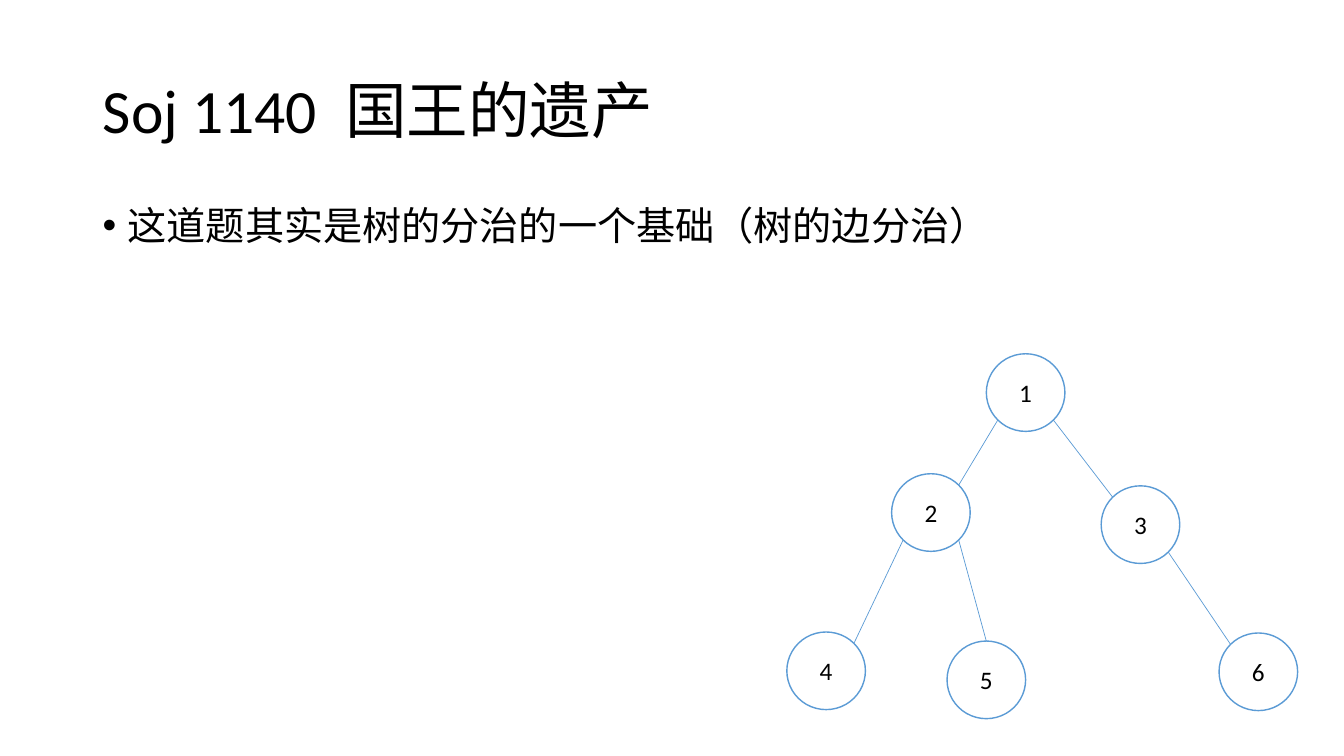
from math import cos, pi
from lxml.etree import SubElement
from pptx import Presentation
from pptx.dml.color import RGBColor
from pptx.enum.shapes import MSO_CONNECTOR, MSO_SHAPE
from pptx.enum.text import MSO_ANCHOR, PP_ALIGN
from pptx.oxml.ns import qn
from pptx.util import Pt

PROBLEM = "Soj 1140"
PROBLEM_NAME = "国王的遗产"
REMARK = "这道题其实是树的分治的一个基础（树的边分治）"
NODES = {
    "2": (885, 470),
    "4": (781, 627),
    "3": (1093, 482),
    "5": (940, 636),
    "6": (1210, 628),
    "1": (979, 351),
}
DIAGONAL = cos(pi / 4)
LOWER_LEFT = (-DIAGONAL, DIAGONAL)
LOWER_RIGHT = (DIAGONAL, DIAGONAL)
UPPER_LEFT = (-DIAGONAL, -DIAGONAL)
UPPER_RIGHT = (DIAGONAL, -DIAGONAL)
TOP = (0, -1)
EDGES = [
    ("1", LOWER_LEFT, "2", UPPER_RIGHT),
    ("1", LOWER_RIGHT, "3", UPPER_LEFT),
    ("2", LOWER_LEFT, "4", UPPER_RIGHT),
    ("2", LOWER_RIGHT, "5", TOP),
    ("3", LOWER_RIGHT, "6", UPPER_LEFT),
]
NODE_WIDTH, NODE_HEIGHT = 78, 77
BLACK, WHITE, BLUE = "000000", "FFFFFF", "5B9BD5"


def px(length):
    return round(length * 9144)


def color(value):
    return RGBColor.from_string(value)


def format_paragraph(paragraph, size, alignment, line_spacing=1.0):
    paragraph.alignment = alignment
    paragraph.line_spacing = line_spacing
    paragraph.font.size = Pt(size)
    paragraph.font.name = "Calibri"
    paragraph.font.color.rgb = color(BLACK)


def rim_point(node, direction):
    left, top = NODES[node]
    across, down = direction
    return (px(left + NODE_WIDTH / 2 * (1 + across)),
            px(top + NODE_HEIGHT / 2 * (1 + down)))


def add_heading(slide):
    heading = slide.shapes.title
    heading.left, heading.top = px(92), px(40)
    heading.width, heading.height = px(1150), px(145)
    heading.text_frame.vertical_anchor = MSO_ANCHOR.MIDDLE
    paragraph = heading.text_frame.paragraphs[0]
    format_paragraph(paragraph, 44, PP_ALIGN.LEFT, 0.9)
    paragraph.add_run().text = PROBLEM
    gap = paragraph.add_run()
    gap.text = " "
    gap.font._element.set("spc", "1000")
    paragraph.add_run().text = PROBLEM_NAME


def add_remark(slide):
    remark = slide.shapes.add_textbox(px(92), px(200), px(1150), px(476))
    remark.text_frame.word_wrap = True
    paragraph = remark.text_frame.paragraphs[0]
    paragraph.text = REMARK
    format_paragraph(paragraph, 28, PP_ALIGN.LEFT, 0.9)
    paragraph.space_before = Pt(10)
    properties = paragraph._p.get_or_add_pPr()
    properties.set("marL", str(px(25)))
    properties.set("indent", str(px(-25)))
    bullet_font = SubElement(properties, qn("a:buFont"), typeface="Arial")
    bullet = SubElement(properties, qn("a:buChar"), char="•")
    properties.find(qn("a:defRPr")).addprevious(bullet_font)
    bullet_font.addnext(bullet)


def add_node(slide, label, left, top):
    node = slide.shapes.add_shape(
        MSO_SHAPE.OVAL, px(left), px(top), px(NODE_WIDTH), px(NODE_HEIGHT))
    node.shadow.inherit = False
    node.fill.solid()
    node.fill.fore_color.rgb = color(WHITE)
    node.line.color.rgb = color(BLUE)
    node.line.width = Pt(1)
    node.text_frame.vertical_anchor = MSO_ANCHOR.MIDDLE
    paragraph = node.text_frame.paragraphs[0]
    paragraph.text = label
    format_paragraph(paragraph, 18, PP_ALIGN.CENTER)


def add_edge(slide, parent, parent_side, child, child_side):
    edge = slide.shapes.add_connector(
        MSO_CONNECTOR.STRAIGHT,
        *rim_point(parent, parent_side), *rim_point(child, child_side))
    edge.line.color.rgb = color(BLUE)
    edge.line.width = Pt(0.5)
    SubElement(edge._element.spPr, qn("a:effectLst"))


def main():
    presentation = Presentation()
    presentation.slide_width, presentation.slide_height = px(1334), px(750)
    slide = presentation.slides.add_slide(presentation.slide_layouts[5])
    add_heading(slide)
    add_remark(slide)
    for label, (left, top) in NODES.items():
        add_node(slide, label, left, top)
    for edge in EDGES:
        add_edge(slide, *edge)
    presentation.save("out.pptx")


if __name__ == "__main__":
    main()
